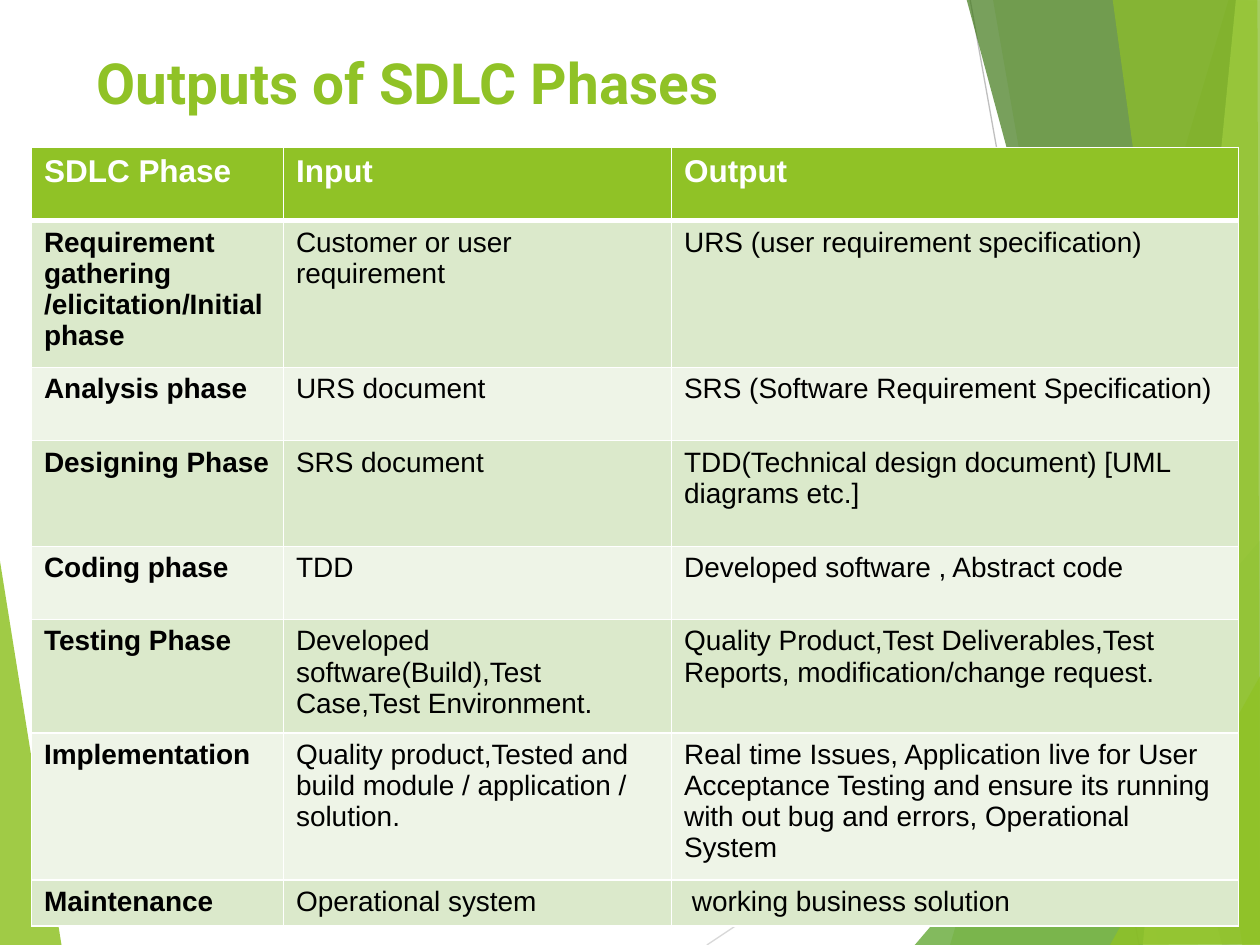
import pptx
import pptx.util
import pptx.dml.color
import pptx.enum.shapes
import pptx.enum.text
import lxml.etree
from pptx.util import Inches

NS = "http://schemas.openxmlformats.org/drawingml/2006/main"
GREEN, PALE, MIST, WHITE = "90C226", "DBE9CB", "EEF4E7", "FFFFFF"


def paint(color, hue, alpha=100):
    color.rgb = pptx.dml.color.RGBColor.from_string(hue)
    if alpha < 100:
        node = color._xFill.find(f"{{{NS}}}srgbClr")
        lxml.etree.SubElement(node, f"{{{NS}}}alpha", val=str(alpha * 1000))


def write(frame, text, size, face, hue, bold):
    frame.word_wrap = True
    frame.text = text
    for para in frame.paragraphs:
        for key, val in {"size": pptx.util.Pt(size), "name": face, "bold": bold}.items():
            setattr(para.font, key, val)
            for run in para.runs:
                setattr(run.font, key, val)
        for run in para.runs:
            paint(run.font.color, hue)


deck = pptx.Presentation()
deck.slide_width, deck.slide_height = Inches(10), Inches(7.5)
slide = deck.slides.add_slide(deck.slide_layouts[6])
shapes = slide.shapes

# Backdrop: thin lines between the left wedge and the right facets
wedge = [(GREEN, 85, [(-0.01, 4.39), (0.49, 7.51), (-0.01, 7.5)])]
lines = [("D8D8D8", (5.61, 7.5, 10.01, 4.57)), ("BFBFBF", (7.7, 0, 9.04, 7.5))]
facets = [
    (GREEN, 30, [(9.75, 0), (7.54, 7.5), (10.02, 7.51), (10.01, 0.01)]),
    (GREEN, 20, [(7.88, -0.01), (9.19, 7.5), (10.01, 7.5), (10.01, -0.01)]),
    ("54A021", 72, [(7.26, 7.5), (10, 4.29), (10.01, 7.5)]),
    ("3F7818", 70, [(7.67, -0.01), (9.7, 7.5), (10.01, 7.49), (10.01, -0.01)]),
    ("BFE471", 70, [(9.81, -0.01), (9.07, 7.5), (10.01, 7.5), (10, -0.01)]),
    (GREEN, 65, [(8.83, -0.01), (9.86, 7.5), (10, 7.5), (9.98, -0.01)]),
    (GREEN, 80, [(8.81, 7.5), (10.01, 5.35), (10.01, 7.49)]),
]
for hue, ends in lines:
    line = shapes.add_connector(pptx.enum.shapes.MSO_CONNECTOR.STRAIGHT, *map(Inches, ends))
    line.line.width = pptx.util.Pt(0.75)
    paint(line.line.color, hue)
    lxml.etree.SubElement(line._element.spPr, f"{{{NS}}}effectLst")
for hue, alpha, dots in wedge + facets:
    dots = [(Inches(x), Inches(y)) for x, y in dots]
    pen = shapes.build_freeform(*dots[0])
    pen.add_line_segments(dots[1:], close=True)
    facet = pen.convert_to_shape()
    facet.shadow.inherit = False
    facet.line.fill.background()
    facet.fill.solid()
    paint(facet.fill.fore_color, hue, alpha)

# Title
title = shapes.add_textbox(Inches(0.67), Inches(0.33), Inches(8.66), Inches(0.54))
write(title.text_frame, "Outputs of SDLC Phases", 32.4, "Roboto", GREEN, True)

# Table of phases
rows = [
    (0.58, "SDLC Phase", "Input", "Output"),
    (1.09, "Requirement gathering /elicitation/Initial phase",
     "Customer or user requirement", "URS (user requirement specification)"),
    (0.58, "Analysis phase", "URS document", "SRS (Software Requirement Specification)"),
    (0.84, "Designing Phase", "SRS document",
     "TDD(Technical design document) [UML diagrams etc.]"),
    (0.58, "Coding phase", "TDD", "Developed software , Abstract code"),
    (0.84, "Testing Phase", "Developed software(Build),Test Case,Test Environment.",
     "Quality Product,Test Deliverables,Test Reports, modification/change request."),
    (1.09, "Implementation",
     "Quality product,Tested and build module / application / solution.",
     "Real time Issues, Application live for User Acceptance Testing and ensure "
     "its running with out bug and errors, Operational System"),
    (0.35, "Maintenance", "Operational system", " working business solution"),
]
wides = [2, 3.08, 4.5]
high = sum(row[0] for row in rows)
table = shapes.add_table(len(rows), len(wides), Inches(0.25), Inches(1.17),
                         Inches(sum(wides)), Inches(high)).table
for col, wide in zip(table.columns, wides):
    col.width = Inches(wide)
for r, (tall, *texts) in enumerate(rows):
    table.rows[r].height = Inches(tall)
    head = r == 0
    for c, text in enumerate(texts):
        cell = table.cell(r, c)
        write(cell.text_frame, text, 18 if head else 16, "Arial",
              WHITE if head else "000000", head or c == 0)
        # Borders go before the fill in the cell properties
        props = cell._tc.get_or_add_tcPr()
        for side in "LRTB":
            thick = 3 if (r, side) in [(0, "B"), (1, "T")] else 1
            edge = lxml.etree.SubElement(props, f"{{{NS}}}ln{side}", w=str(thick * 12700))
            solid = lxml.etree.SubElement(edge, f"{{{NS}}}solidFill")
            lxml.etree.SubElement(solid, f"{{{NS}}}srgbClr", val=WHITE)
        cell.fill.solid()
        paint(cell.fill.fore_color, GREEN if head else PALE if r % 2 else MIST)

deck.save("out.pptx")
